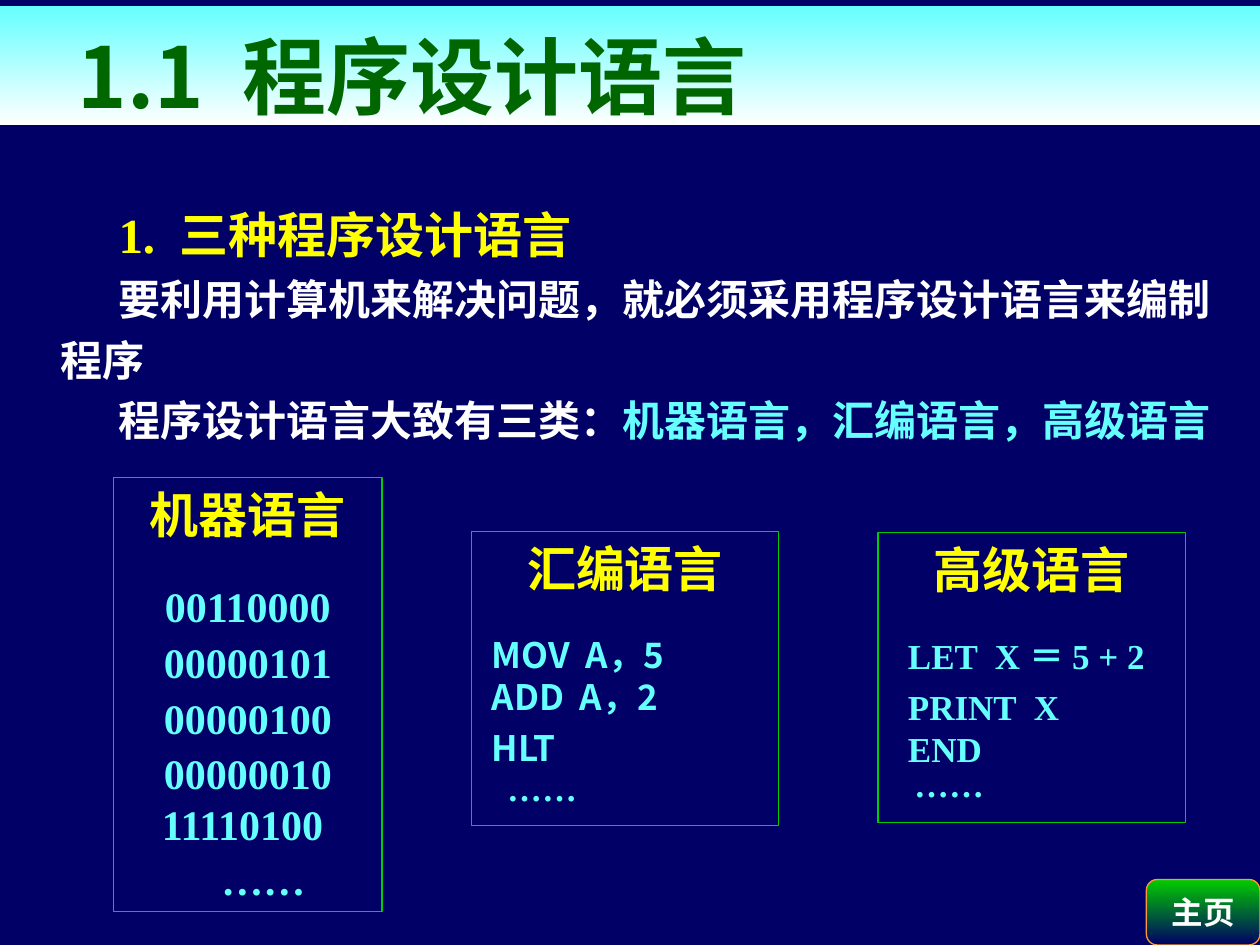
from lxml import etree
from pptx import Presentation
from pptx import util as u
from pptx.dml.color import RGBColor
from pptx.enum import shapes, text
from pptx.oxml import ns

NAVY = RGBColor(0x00, 0x00, 0x66)
CYAN = RGBColor(0x66, 0xFF, 0xFF)
WHITE = RGBColor(0xFF, 0xFF, 0xFF)
YELLOW = RGBColor(0xFF, 0xFF, 0x00)
GREEN = RGBColor(0x00, 0xCC, 0x00)
DARK_GREEN = RGBColor(0x00, 0x66, 0x00)
ORANGE = RGBColor(0xFF, 0x99, 0x33)

SERIF = "Times New Roman"
SANS = "Noto Sans CJK SC"
SANS_JP = "Noto Sans CJK JP"
LEFT, CENTER = text.PP_ALIGN.LEFT, text.PP_ALIGN.CENTER


class Deck:
    """Holds the house style and the current slide."""

    inset = 0.25, 0.13, 0.25, 0.13
    sides = "left", "top", "right", "bottom"

    def __init__(self, width, height):
        self.prs = Presentation()
        self.prs.slide_width, self.prs.slide_height = u.Cm(width), u.Cm(height)
        self.s = self.prs.slides.add_slide(self.prs.slide_layouts[6])
        fill = self.s.background.fill
        fill.solid()
        fill.fore_color.rgb = NAVY

    def shape(self, kind, box, gradient=None, line=None):
        sp = self.s.shapes.add_shape(kind, *map(u.Cm, box))
        sp.shadow.inherit = False
        if gradient:
            sp.fill.gradient()
            sp.fill.gradient_angle = 270
            for stop, color, pos in zip(sp.fill.gradient_stops, gradient, (0, 1)):
                stop.color.rgb, stop.position = color, pos
        else:
            sp.fill.background()
        if line:
            sp.line.color.rgb, sp.line.width = line, u.Pt(0.75)
        else:
            sp.line.fill.background()
        return sp

    def textbox(self, box):
        return self.s.shapes.add_textbox(*map(u.Cm, box))

    def frame(self, sp, anchor=text.MSO_ANCHOR.TOP, wrap=True, inset=inset):
        tf = sp.text_frame
        tf.word_wrap, tf.vertical_anchor = wrap, anchor
        for side, value in zip(self.sides, inset):
            setattr(tf, f"margin_{side}", u.Cm(value))
        return tf

    def paragraph(self, tf, *runs, align=LEFT, before=0, leading=None, left=0, first=0):
        """Fill the empty first paragraph or add one; indents are in cm."""
        p = tf.paragraphs[0]
        if p.runs:
            p = tf.add_paragraph()
        p.alignment, p.space_before = align, u.Pt(before)
        if leading:
            p.line_spacing = u.Pt(leading)
        pPr = p._p.get_or_add_pPr()
        pPr.set("marL", str(u.Cm(left)))
        pPr.set("indent", str(u.Cm(first)))
        for run in runs:
            self.run(p, *run)

    def run(self, p, content, size, color, font=SERIF, spacing=0):
        """Add text, with a line break at each newline; spacing is tracking in points."""
        style = {"size": u.Pt(size), "bold": True, "name": font}
        for i, part in enumerate(content.split("\n")):
            if i:
                p.add_line_break()
            r = p.add_run()
            r.text = part
            for name, value in style.items():
                setattr(r.font, name, value)
            r.font.color.rgb = color
            rPr = r.font._element
            etree.SubElement(rPr, ns.qn("a:ea")).set("typeface", SANS)
            if spacing:
                rPr.set("spc", str(int(spacing * 100)))

    def language_box(self, box, title, size, gap, lines):
        """Outlined box with a heading and lines of (text, font, align, before, left)."""
        tf = self.frame(self.shape(shapes.MSO_SHAPE.RECTANGLE, box, line=GREEN))
        self.paragraph(tf, (title, 28, YELLOW), align=CENTER, leading=33.6)
        for i, (content, font, align, before, left) in enumerate(lines):
            self.paragraph(tf, (content, size, CYAN, font), align=align, left=left,
                           before=before if i else gap, leading=1.2 * size)


def main():
    deck = Deck(25.4, 19.05)

    button = deck.shape(shapes.MSO_SHAPE.ROUNDED_RECTANGLE, (23.11, 17.73, 2.29, 1.32),
                        (GREEN, NAVY), ORANGE)
    tf = deck.frame(button, text.MSO_ANCHOR.MIDDLE, wrap=False)
    deck.paragraph(tf, ("主页", 18, WHITE), align=CENTER)

    banner = deck.shape(shapes.MSO_SHAPE.RECTANGLE, (0, 0.13, 25.4, 2.39), (CYAN, WHITE))
    tf = deck.frame(banner, text.MSO_ANCHOR.BOTTOM, inset=(1.57, 0.13, 0.25, 0))
    deck.paragraph(tf, ("1.1", 48, DARK_GREEN, SANS_JP), (" ", 48, DARK_GREEN, SANS_JP, 11),
                   ("程序设计语言", 48, DARK_GREEN, SANS))

    tf = deck.frame(deck.textbox((0, 2.72, 25.4, 16.33)), inset=(0.25, 1.17, 0.25, 0.13))
    body = [
        [("1.", 28, YELLOW), (" ", 28, YELLOW, SERIF, 7), ("三种程序设计语言", 28, YELLOW)],
        [("要利用计算机来解决问题，就必须采用程序设计语言来编制程序", 24, WHITE)],
        [("程序设计语言大致有三类：", 24, WHITE), ("机器语言，汇编语言，高级语言", 24, CYAN)],
    ]
    for runs in body:
        deck.paragraph(tf, *runs, leading=1.44 * runs[0][1], left=0.97, first=1.17)

    codes = ["00110000", "00000101", "00000100", "00000010 11110100 "]
    deck.language_box((2.29, 9.63, 5.41, 8.74), "机器语言", 24, 21.6,
                      [(code, SERIF, CENTER, 3, 0) for code in codes]
                      + [("……", SERIF, CENTER, 3, 0.63)])
    deck.language_box((9.5, 10.72, 6.2, 5.92), "汇编语言", 20, 20.9,
                      [(code, SANS, LEFT, 5, 0)
                       for code in (" MOV  A，5\n ADD  A，2", " HLT", "   ……")])
    deck.language_box((17.7, 10.74, 6.2, 5.84), "高级语言", 20, 20.9,
                      [("  LET  X ＝ 5 + 2", SERIF, LEFT, 5, 0),
                       ("  PRINT  X\n  END", SERIF, LEFT, 5, 0),
                       ("   ……", SANS, LEFT, 2.5, 0)])

    deck.prs.save("out.pptx")


if __name__ == "__main__":
    main()
